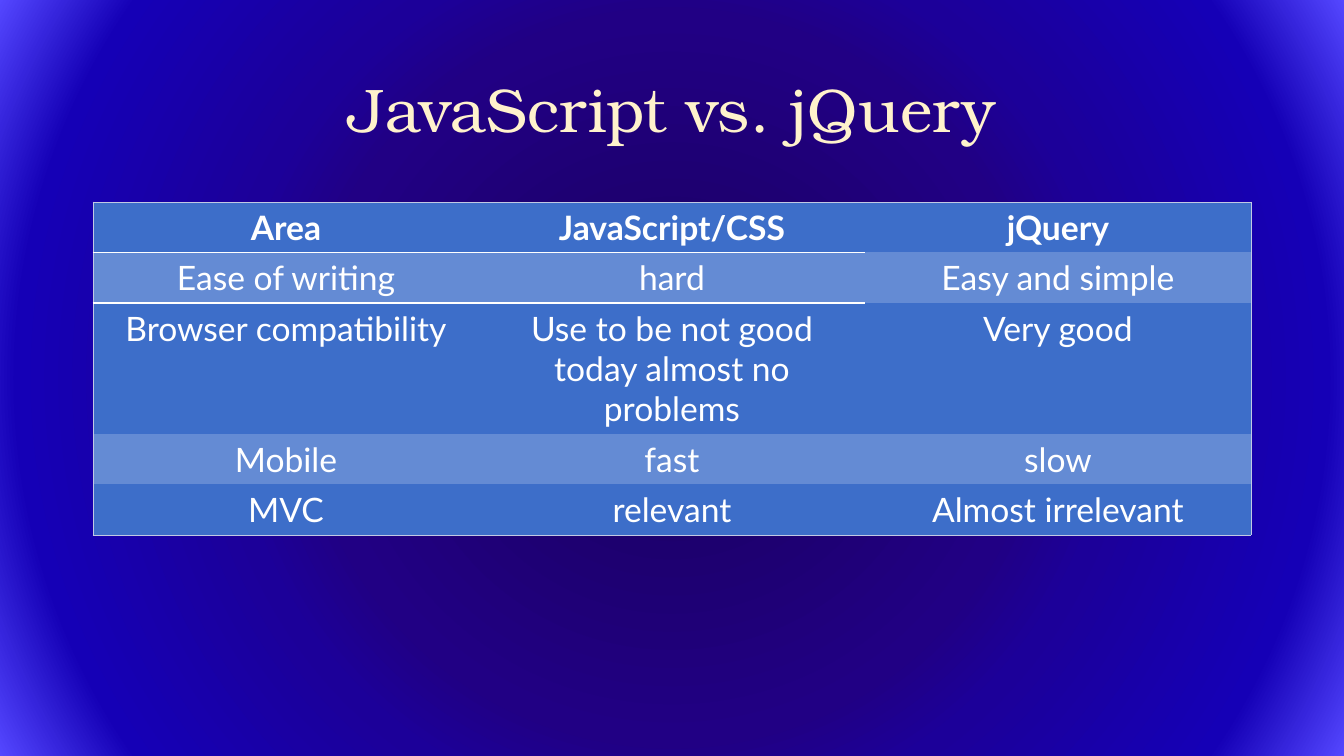
from dataclasses import dataclass

from pptx import Presentation
from pptx.dml.color import RGBColor
from pptx.enum.text import MSO_ANCHOR, PP_ALIGN
from pptx.oxml import parse_xml
from pptx.oxml.ns import nsdecls, qn
from pptx.util import Pt

PIXEL = 914400 / 100.8
NO_STYLE = "{2D5ABB26-0587-4C30-8999-92F81FD0307C}"


@dataclass(frozen=True)
class Theme:
    """Colours, fonts and type sizes of the slide."""
    title_font: str = "TeX Gyre Bonum"
    body_font: str = "Lato"
    title_size: int = 44
    body_size: int = 24
    title: str = "FFF2CC"
    text: str = "FFFFFF"
    row: str = "3D6EC9"
    band: str = "648BD4"
    frame: str = "C1C9E4"
    rule: str = "FFFFFF"
    backdrop: tuple = ((0, "1A005C"), (47, "210084"), (58, "1C0099"),
                       (85, "1500B6"), (100, "5447FF"))


THEME = Theme()
ROWS = (
    ("Area", "JavaScript/CSS", "jQuery"),
    ("Ease of writing", "hard", "Easy and simple"),
    ("Browser compatibility", "Use to be not good\ntoday almost no problems", "Very good"),
    ("Mobile", "fast", "slow"),
    ("MVC", "relevant", "Almost irrelevant"),
)
ROW_HEIGHTS = (50, 50, 131, 50, 50)
COLUMN_WIDTH = 386


def px(length):
    """Turn pixels into EMU."""
    return round(length * PIXEL)


def paint_backdrop(page):
    """Give the page a circular gradient background."""
    stops = "".join(
        f'<a:gs pos="{place * 1000}"><a:srgbClr val="{color}"/></a:gs>'
        for place, color in THEME.backdrop)
    backdrop = parse_xml(
        f'<p:bg {nsdecls("p", "a")}><p:bgPr><a:gradFill rotWithShape="1">'
        f'<a:gsLst>{stops}</a:gsLst><a:path path="circle">'
        '<a:fillToRect l="50000" t="50000" r="50000" b="50000"/></a:path>'
        '</a:gradFill><a:effectLst/></p:bgPr></p:bg>')
    page.element.find(qn("p:cSld")).insert(0, backdrop)


def write(frame, text, font, size, color, bold=False):
    """Write centred text, with a line break at each newline."""
    frame.word_wrap = True
    para = frame.paragraphs[0]
    para.alignment = PP_ALIGN.CENTER
    for index, line in enumerate(text.split("\n")):
        if index:
            para.add_line_break()
        span = para.add_run()
        span.text = line
        span.font.name = font
        span.font.size = Pt(size)
        span.font.bold = bold
        span.font.color.rgb = RGBColor.from_string(color)
    return para


def add_title(page, text, left, top, width, height):
    """Add the heading, centred in its box."""
    box = page.shapes.add_textbox(px(left), px(top), px(width), px(height))
    box.text_frame.vertical_anchor = MSO_ANCHOR.MIDDLE
    para = write(box.text_frame, text, THEME.title_font, THEME.title_size, THEME.title)
    para.line_spacing = 0.9


def set_borders(cell, borders):
    """Draw borders, given as side: (colour, points), in L, R, T, B order."""
    properties = cell._tc.get_or_add_tcPr()
    for index, (side, (color, points)) in enumerate(borders.items()):
        line = parse_xml(
            f'<a:ln{side} {nsdecls("a")} w="{Pt(points)}"><a:solidFill>'
            f'<a:srgbClr val="{color}"/></a:solidFill></a:ln{side}>')
        properties.insert(index, line)


def cell_borders(row, column):
    """Return the frame and header rule that touch one cell."""
    last_row, last_column = len(ROWS) - 1, len(ROWS[0]) - 1
    outer = (THEME.frame, 0.5)
    rule = (THEME.rule, 1.5)
    ruled = column < last_column
    sides = (
        ("L", outer, column == 0),
        ("R", outer, column == last_column),
        ("T", outer, row == 0),
        ("T", rule, row == 1 and ruled),
        ("B", outer, row == last_row),
        ("B", rule, row == 0 and ruled),
    )
    return {side: line for side, line, shown in sides if shown}


def add_comparison(page, left, top):
    """Add the banded comparison table."""
    columns = len(ROWS[0])
    table = page.shapes.add_table(
        len(ROWS), columns, px(left), px(top),
        px(COLUMN_WIDTH * columns), px(sum(ROW_HEIGHTS))).table
    table._tbl.tblPr.find(qn("a:tableStyleId")).text = NO_STYLE
    table.horz_banding = False
    for column in table.columns:
        column.width = px(COLUMN_WIDTH)
    for row, texts in enumerate(ROWS):
        table.rows[row].height = px(ROW_HEIGHTS[row])
        for column, text in enumerate(texts):
            cell = table.cell(row, column)
            cell.fill.solid()
            cell.fill.fore_color.rgb = RGBColor.from_string(
                THEME.band if row % 2 else THEME.row)
            set_borders(cell, cell_borders(row, column))
            write(cell.text_frame, text, THEME.body_font, THEME.body_size,
                  THEME.text, bold=row == 0)


def main():
    """Build the slide and save it."""
    deck = Presentation()
    deck.slide_width, deck.slide_height = px(1344), px(756)
    page = deck.slides.add_slide(deck.slide_layouts[6])
    paint_backdrop(page)
    add_title(page, "JavaScript vs. jQuery", 93, 40, 1159, 146)
    add_comparison(page, 93, 202)
    deck.save("out.pptx")


main()
